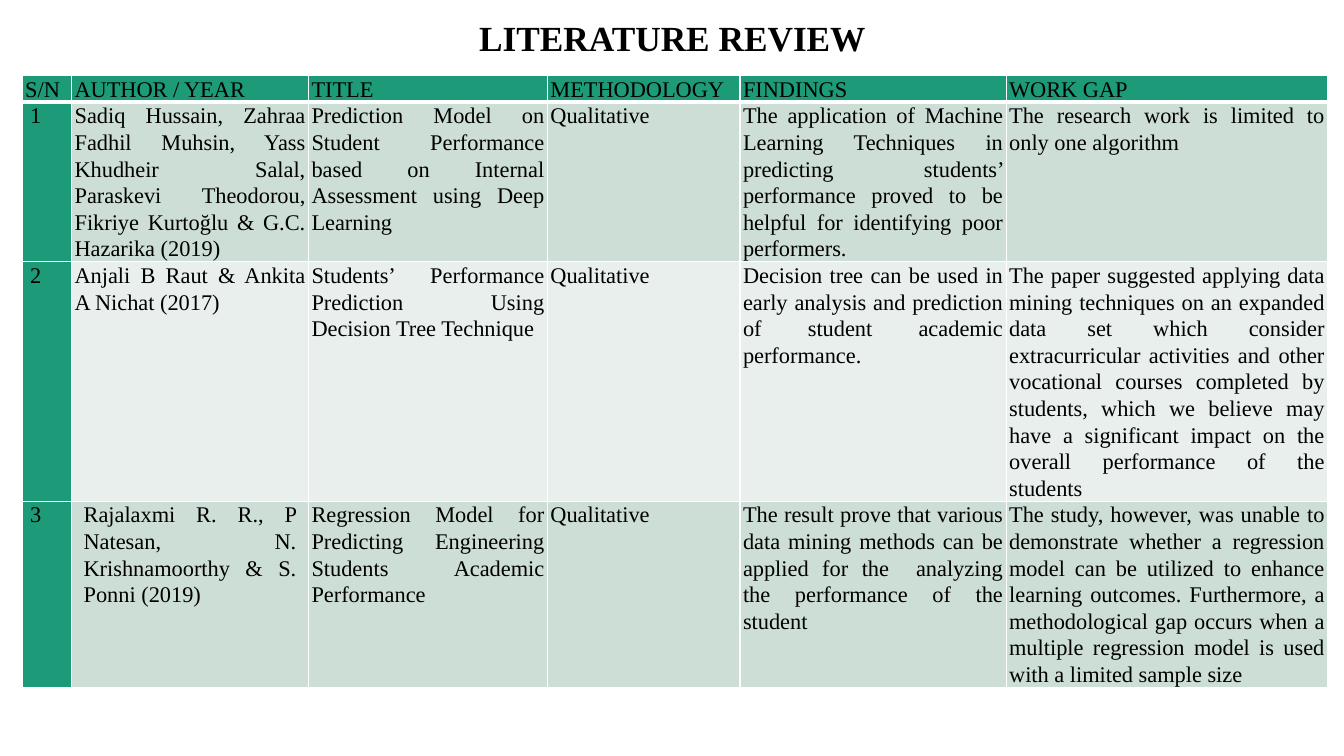
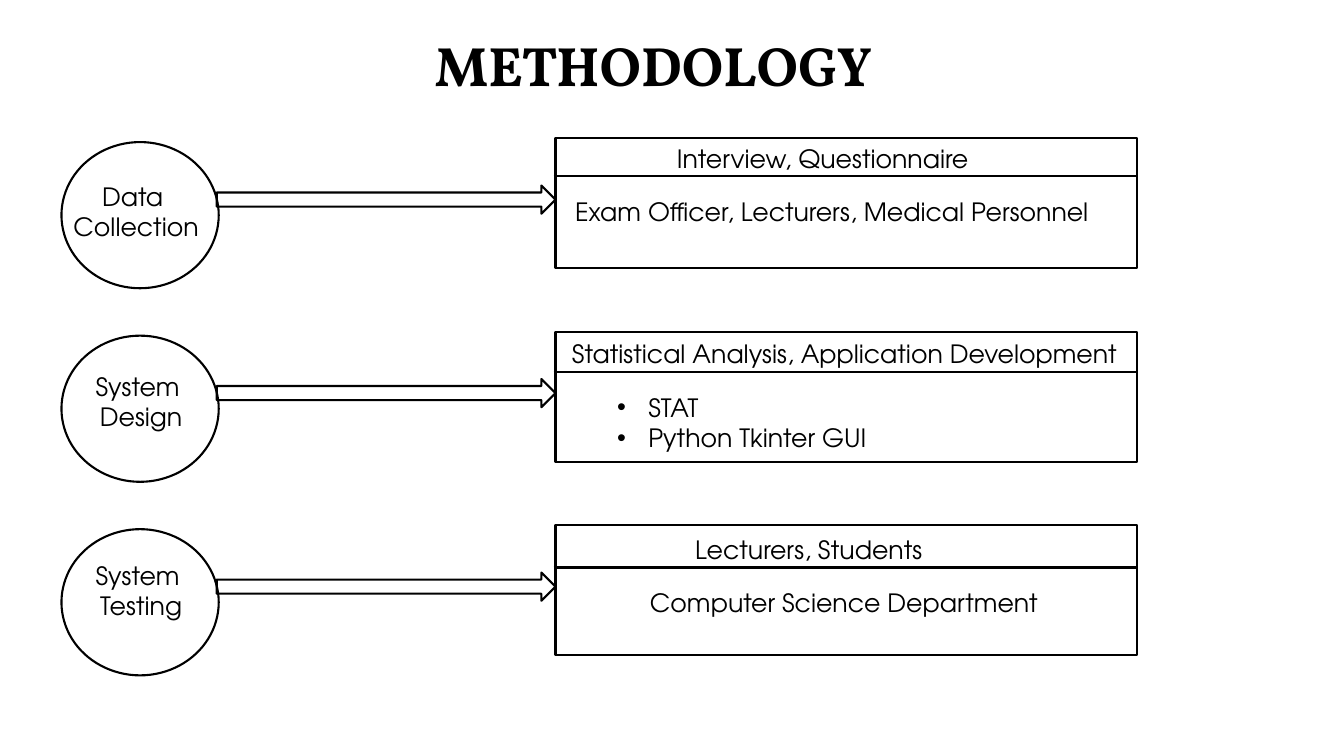
from lxml import etree
from pptx import Presentation
from pptx import util as u
from pptx.dml.color import RGBColor
from pptx.enum import shapes, text
from pptx.oxml import ns

BLACK = RGBColor(0x00, 0x00, 0x00)
WHITE = RGBColor(0xFF, 0xFF, 0xFF)
GREEN = RGBColor(0x1D, 0x9A, 0x78)
SAGE = RGBColor(0xCD, 0xDE, 0xD6)
MIST = RGBColor(0xE8, 0xEF, 0xEC)
SERIF, DISPLAY, SANS = "Times New Roman", "Vollkorn", "TeX Gyre Adventor"
ALIGN = text.PP_ALIGN
SHAPE = shapes.MSO_SHAPE
TITLE_AND_LIST, TITLE_ONLY = 1, 5

# Review table
REVIEW_COLS = [0.49, 2.35, 2.37, 1.91, 2.64, 3.19]
REVIEW_ROWS = [0.25, 1.58, 2.37, 1.84]
REVIEW = [
    ["S/N", "AUTHOR / YEAR", "TITLE", "METHODOLOGY", "FINDINGS", "WORK GAP"],
    ["1",
     "Sadiq Hussain, Zahraa Fadhil Muhsin, Yass Khudheir Salal, Paraskevi "
     "Theodorou, Fikriye Kurtoğlu & G.C. Hazarika (2019)",
     "Prediction Model on Student Performance based on Internal Assessment "
     "using Deep Learning",
     "Qualitative",
     "The application of Machine Learning Techniques in predicting students’ "
     "performance proved to be helpful for identifying poor performers.",
     "The research work is limited to only one algorithm"],
    ["2",
     "Anjali B Raut & Ankita A Nichat (2017)",
     "Students’ Performance Prediction Using Decision Tree Technique",
     "Qualitative",
     "Decision tree can be used in early analysis and prediction of student "
     "academic performance.",
     "The paper suggested applying data mining techniques on an expanded data "
     "set which consider extracurricular activities and other vocational "
     "courses completed by students, which we believe may have a significant "
     "impact on the overall performance of the students"],
    ["3",
     "Rajalaxmi R. R., P Natesan, N. Krishnamoorthy & S. Ponni (2019)",
     "Regression Model for Predicting Engineering Students Academic Performance",
     "Qualitative",
     "The result prove that various data mining methods can be applied for "
     "the  analyzing the performance of the student",
     "The study, however, was unable to demonstrate whether a regression model "
     "can be utilized to enhance learning outcomes. Furthermore, a "
     "methodological gap occurs when a multiple regression model is used with "
     "a limited sample size"],
]
# Side margins that differ from the usual one, by (row, column)
CELL_MARGIN = 0.03
WIDE_MARGINS = {(1, 0): 0.08, (2, 0): 0.08, (3, 0): 0.08, (3, 1): 0.12}

# Methodology grid: one row per stage; text rows have their own pitch
STAGE_PITCH, LABEL_PITCH, TEXT_PITCH = 1.92, 1.88, 1.94
STAGE_PARTS = [
    (SHAPE.OVAL, (0.61, 1.41, 1.56, 1.45)),
    (SHAPE.RECTANGLE, (5.51, 1.37, 5.77, 1.29)),
    (SHAPE.RIGHT_ARROW, (2.15, 1.84, 3.36, 0.28)),
]
LABEL_TOP, HEAD_TOP, DIVIDER_TOP, DETAIL_TOP = 1.75, 1.37, 1.75, 1.9
DIVIDER_LEFT, DIVIDER_RIGHT = 5.49, 11.28
LINE_HEIGHT = 0.36
TOOLS = ["STAT", "Python Tkinter GUI"]
TOOLS_SPAN = (6.02, 4.7)
# label lines, label left, heading, its (left, width), detail, its (left, width);
# a stage without a detail shows the list of tools
STAGES = [
    (["Data ", "Collection"], 0.56, "Interview, Questionnaire ", (5.51, 5.37),
     "Exam Officer, Lecturers, Medical Personnel ", (5.52, 5.53)),
    (["System ", "Design"], 0.61,
     "Statistical Analysis, Application Development ", (5.53, 5.76),
     None, TOOLS_SPAN),
    (["System ", "Testing"], 0.61, "Lecturers, Students  ", (5.69, 4.8),
     "Computer Science Department", (6.02, 4.7)),
]


def inches(*lengths):
    return [u.Inches(length) for length in lengths]


def set_all(target, values):
    for name, value in values.items():
        setattr(target, name, value)


def write(frame, lines, font, size, bold=False, **paragraph_format):
    """Fill a text frame with one paragraph per line."""
    frame.word_wrap = True
    for index, line in enumerate(lines):
        paragraph = frame.paragraphs[0] if index == 0 else frame.add_paragraph()
        set_all(paragraph, paragraph_format)
        run = paragraph.add_run()
        run.text = line
        set_all(run.font, {"name": font, "size": u.Pt(size), "bold": bold})
        run.font.color.rgb = BLACK


def move(placeholder, box):
    set_all(placeholder, dict(zip(("left", "top", "width", "height"), inches(*box))))


def add_titled_slide(deck, layout, title, box, font, size):
    slide = deck.slides.add_slide(deck.slide_layouts[layout])
    move(slide.shapes.title, box)
    frame = slide.shapes.title.text_frame
    set_all(frame, {"vertical_anchor": text.MSO_ANCHOR.BOTTOM,
                    "auto_size": text.MSO_AUTO_SIZE.NONE})
    write(frame, [title], font, size, bold=True,
          alignment=ALIGN.CENTER, line_spacing=0.9)
    return slide


def border_cell(cell, heavy_side=None):
    """Draw white cell borders, one side of them optionally heavier."""
    properties = cell._tc.get_or_add_tcPr()
    for side in ("lnL", "lnR", "lnT", "lnB"):
        width = u.Pt(3 if side == heavy_side else 1)
        line = etree.SubElement(properties, ns.qn("a:" + side), w=str(width))
        fill = etree.SubElement(line, ns.qn("a:solidFill"))
        etree.SubElement(fill, ns.qn("a:srgbClr"), val=str(WHITE))


def add_review_table(slide):
    grid = slide.shapes.add_table(
        len(REVIEW_ROWS), len(REVIEW_COLS),
        *inches(0.22, 0.75, sum(REVIEW_COLS), sum(REVIEW_ROWS))).table
    set_all(grid, {"first_row": False, "horz_banding": False})
    for column, width in zip(grid.columns, REVIEW_COLS):
        column.width = u.Inches(width)
    for r, (row, height) in enumerate(zip(grid.rows, REVIEW_ROWS)):
        row.height = u.Inches(height)
        for c, content in enumerate(REVIEW[r]):
            cell = grid.cell(r, c)
            side = u.Inches(WIDE_MARGINS.get((r, c), CELL_MARGIN))
            set_all(cell, {"margin_left": side, "margin_right": side,
                           "margin_top": 0, "margin_bottom": 0})
            border_cell(cell, {0: "lnB", 1: "lnT"}.get(r))
            cell.fill.solid()
            banding = SAGE if r % 2 else MIST
            cell.fill.fore_color.rgb = GREEN if r == 0 or c == 0 else banding
            write(cell.text_frame, [content], SERIF, 16,
                  alignment=ALIGN.JUSTIFY, line_spacing=1.07, space_after=u.Pt(8))


def outline(line):
    line.color.rgb = BLACK
    line.width = u.Pt(1.5)


def add_outlined(slide, kind, box):
    part = slide.shapes.add_shape(kind, *inches(*box))
    part.shadow.inherit = False
    part.fill.background()
    outline(part.line)


def add_divider(slide, top):
    divider = slide.shapes.add_connector(
        shapes.MSO_CONNECTOR.STRAIGHT,
        *inches(DIVIDER_LEFT, top, DIVIDER_RIGHT, top))
    outline(divider.line)
    etree.SubElement(divider._element.spPr, ns.qn("a:effectLst"))


def add_caption(slide, lines, left, top, width):
    caption = slide.shapes.add_textbox(
        *inches(left, top, width, LINE_HEIGHT * len(lines)))
    write(caption.text_frame, lines, SANS, 18, alignment=ALIGN.CENTER)


def fill_tools_list(slide, top):
    tools = slide.placeholders[1]
    left, width = TOOLS_SPAN
    move(tools, (left, top, width, 0.71))
    tools.text_frame.auto_size = text.MSO_AUTO_SIZE.NONE
    write(tools.text_frame, TOOLS, SANS, 18, space_before=u.Pt(0))
    indent = u.Inches(0.31)
    for paragraph in tools.text_frame.paragraphs:
        properties = paragraph._p.get_or_add_pPr()
        properties.set("marL", str(indent))
        properties.set("indent", str(-indent))
        etree.SubElement(properties, ns.qn("a:buFont"), typeface="Arial")
        etree.SubElement(properties, ns.qn("a:buChar"), char="•")


def add_stage(slide, index, stage):
    label, label_left, heading, heading_span, detail, detail_span = stage
    for kind, (left, top, width, height) in STAGE_PARTS:
        add_outlined(slide, kind, (left, top + index * STAGE_PITCH, width, height))
    add_caption(slide, label, label_left, LABEL_TOP + index * LABEL_PITCH, 1.58)

    text_shift = index * TEXT_PITCH
    add_caption(slide, [heading], heading_span[0], HEAD_TOP + text_shift,
                heading_span[1])
    add_divider(slide, DIVIDER_TOP + text_shift)
    if detail:
        add_caption(slide, [detail], detail_span[0], DETAIL_TOP + text_shift,
                    detail_span[1])
    else:
        fill_tools_list(slide, DETAIL_TOP + text_shift)


def main():
    deck = Presentation()
    deck.slide_width, deck.slide_height = inches(13.33, 7.5)

    # Literature review
    review = add_titled_slide(deck, TITLE_ONLY, "LITERATURE REVIEW",
                              (2.92, 0.3, 7.5, 0.34), SERIF, 25.2)
    add_review_table(review)

    # Methodology
    methodology = add_titled_slide(deck, TITLE_AND_LIST, "METHODOLOGY",
                                   (1.33, 0.3, 10.3, 0.73), DISPLAY, 39.6)
    for index, stage in enumerate(STAGES):
        add_stage(methodology, index, stage)

    deck.save("out.pptx")


if __name__ == "__main__":
    main()
